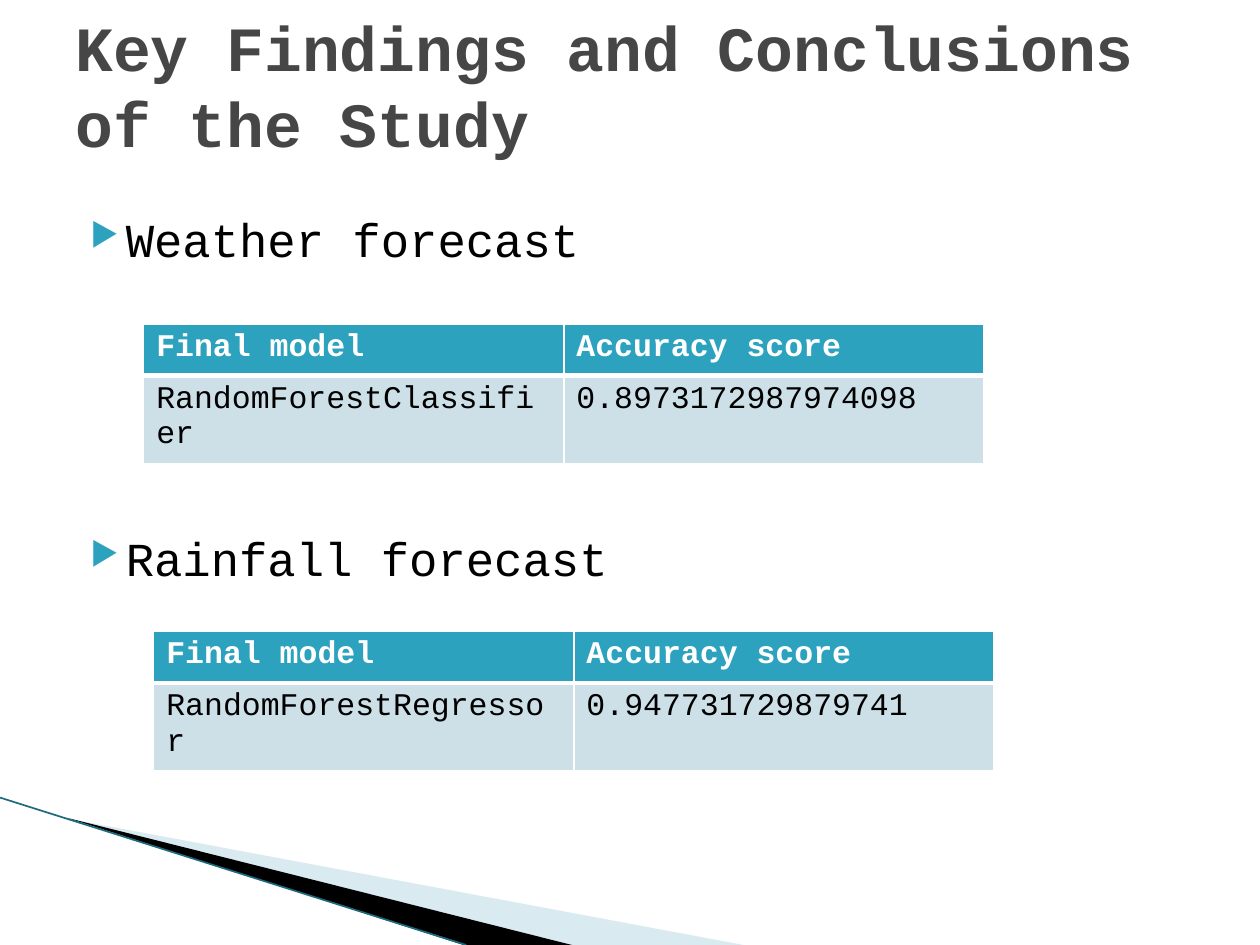
from lxml import etree
from pptx import Presentation
from pptx.dml.color import RGBColor
from pptx.enum.shapes import MSO_CONNECTOR
from pptx.oxml.ns import qn
from pptx.util import Inches, Pt

STRAIGHT = MSO_CONNECTOR.STRAIGHT
COLORS = {
    "title": "464646",
    "text": "000000",
    "accent": "2DA2BF",
    "row": "CDE0E8",
    "white": "FFFFFF",
    "pale_wedge": "A0CBDC",
    "dark_wedge": "000000",
    "edge": "1B6A7D",
}
FONT = "Courier New"
TITLE = {"size": Pt(36), "bold": True}
BULLET = {"size": Pt(27), "bold": False}
HEADER = {"size": Pt(18), "bold": True}
VALUE = {"size": Pt(18), "bold": False}
COLUMNS = ("Final model", "Accuracy score")
FORECASTS = [
    ("Weather forecast", 1.62, (1.14, 2.57),
     ("RandomForestClassifier", "0.8973172987974098")),
    ("Rainfall forecast", 4.15, (1.22, 5.01),
     ("RandomForestRegressor", "0.947731729879741")),
]


def rgb(name):
    """Return the named palette colour."""
    return RGBColor.from_string(COLORS[name])


def write(frame, text, style, color):
    """Put one formatted run into a text frame and return its paragraph."""
    paragraph = frame.paragraphs[0]
    run = paragraph.add_run()
    run.text = text
    for attribute, value in {"name": FONT, **style}.items():
        setattr(run.font, attribute, value)
    run.font.color.rgb = rgb(color)
    return paragraph


def add_text(slide, top, height, text, style, color):
    """Add a wrapped text box across the content width."""
    box = slide.shapes.add_textbox(Inches(0.5), Inches(top), Inches(9), Inches(height))
    box.text_frame.word_wrap = True
    return write(box.text_frame, text, style, color)


def add_bullet(slide, top, text):
    """Add a heading with a coloured triangle bullet."""
    paragraph = add_text(slide, top, 0.6, text, BULLET, "text")
    paragraph.space_before = Pt(4)
    properties = paragraph._p.get_or_add_pPr()
    properties.set("marL", str(Inches(0.4)))
    properties.set("indent", str(Inches(-0.28)))
    bullet_color = etree.SubElement(properties, qn("a:buClr"))
    etree.SubElement(bullet_color, qn("a:srgbClr"), val=COLORS["accent"])
    etree.SubElement(properties, qn("a:buSzPct"), val="68000")
    etree.SubElement(properties, qn("a:buChar"), char="▶")


def set_borders(cell, bottom):
    """Draw white borders around a cell with the given bottom width."""
    properties = cell._tc.get_or_add_tcPr()
    widths = {"a:lnL": 1, "a:lnR": 1, "a:lnT": 1, "a:lnB": bottom}
    for side, width in widths.items():
        border = etree.SubElement(properties, qn(side), w=str(Pt(width)))
        fill = etree.SubElement(border, qn("a:solidFill"))
        etree.SubElement(fill, qn("a:srgbClr"), val=COLORS["white"])


def add_score_table(slide, position, scores):
    """Add a table with a header row and one model's score."""
    left, top = position
    table = slide.shapes.add_table(
        2, 2, Inches(left), Inches(top), Inches(6.67), Inches(0.82)).table
    rows = [(COLUMNS, HEADER, "white", "accent", 3),
            (scores, VALUE, "text", "row", 1)]
    for row, (texts, style, color, fill, bottom) in enumerate(rows):
        for column, text in enumerate(texts):
            cell = table.cell(row, column)
            write(cell.text_frame, text, style, color)
            set_borders(cell, bottom)
            cell.fill.solid()
            cell.fill.fore_color.rgb = rgb(fill)


def add_wedge(slide, points, color, opacity=100):
    """Add a filled corner wedge through the given points."""
    start, *rest = [(Inches(x), Inches(y)) for x, y in points]
    builder = slide.shapes.build_freeform(*start)
    builder.add_line_segments(rest)
    wedge = builder.convert_to_shape()
    wedge.shadow.inherit = False
    wedge.line.fill.background()
    wedge.fill.solid()
    wedge.fill.fore_color.rgb = rgb(color)
    if opacity < 100:
        tint = wedge._element.spPr.find(qn("a:solidFill"))[0]
        etree.SubElement(tint, qn("a:alpha"), val=str(opacity * 1000))


def add_edge(slide):
    """Add the thin line along the lower side of the corner wedges."""
    edge = slide.shapes.add_connector(
        STRAIGHT, Inches(0), Inches(6.33), Inches(3.7), Inches(7.5))
    edge.line.color.rgb = rgb("edge")
    edge.line.width = Pt(0.95)
    etree.SubElement(edge._element.spPr, qn("a:effectLst"))


def main():
    """Build the findings slide and save it."""
    deck = Presentation()
    deck.slide_width, deck.slide_height = Inches(10), Inches(7.5)
    slide = deck.slides.add_slide(deck.slide_layouts[6])
    add_wedge(slide, [(0.55, 6.5), (5.9, 7.5), (4.54, 7.5)], "pale_wedge", 40)
    add_wedge(slide, [(0.53, 6.49), (4.54, 7.5), (3.68, 7.5)], "dark_wedge")
    add_edge(slide)
    add_text(slide, 0.02, 1.25, "Key Findings and Conclusions of the Study", TITLE, "title")
    for heading, top, position, scores in FORECASTS:
        add_bullet(slide, top, heading)
        add_score_table(slide, position, scores)
    deck.save("out.pptx")


if __name__ == "__main__":
    main()
